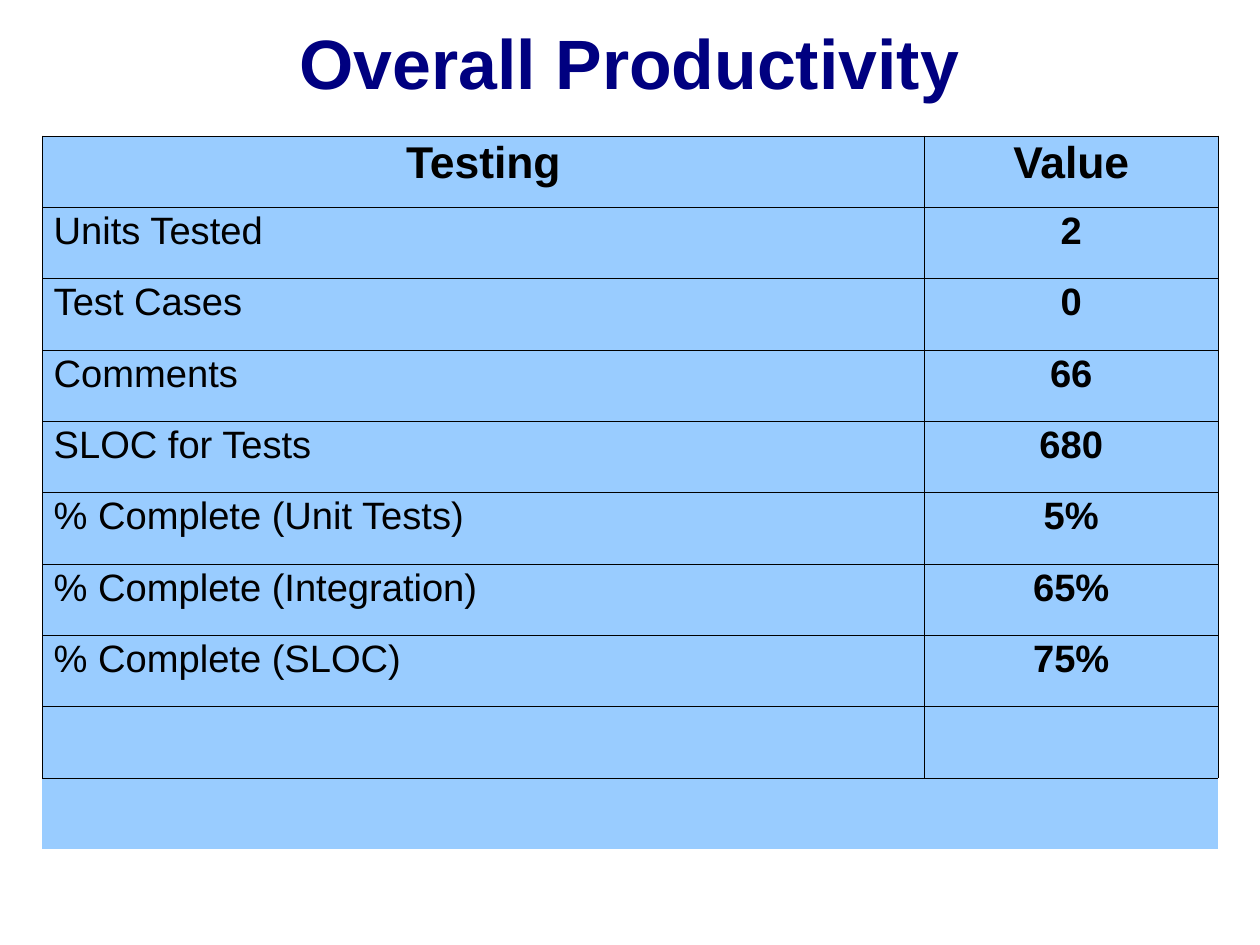
import pptx
import pptx.util
import pptx.dml.color
import pptx.enum.text
import pptx.oxml
import pptx.oxml.ns
from pptx.util import Cm, Pt

TITLE = "Overall Productivity"
ROWS = [
    ("Testing", "Value"),
    ("Units Tested", "2"),
    ("Test Cases", "0"),
    ("Comments", "66"),
    ("SLOC for Tests", "680"),
    ("% Complete (Unit Tests)", "5%"),
    ("% Complete (Integration)", "65%"),
    ("% Complete (SLOC)", "75%"),
    ("", ""),
    ("", ""),
]
WIDTHS = (Cm(19.6), Cm(6.53))
HEIGHT = Cm(15.85)
INNER, OUTER = Pt(0.17), Pt(0.23)

NAVY = pptx.dml.color.RGBColor(0x00, 0x00, 0x80)
BLACK = pptx.dml.color.RGBColor(0x00, 0x00, 0x00)
SKY = pptx.dml.color.RGBColor(0x99, 0xCC, 0xFF)

ALIGN = pptx.enum.text.PP_ALIGN
ANCHOR = pptx.enum.text.MSO_ANCHOR


def style(para, size, color, bold, align):
    para.alignment = align
    font = para.font
    for run in para.runs:
        font = run.font
    font.name, font.size, font.bold = "Arial", Pt(size), bold
    font.color.rgb = color


def rule(cell, edges):
    """Draw the cell's borders; a width of None hides that edge."""
    props = cell._tc.get_or_add_tcPr()
    names = pptx.oxml.ns.nsdecls("a")
    for spot, (side, width) in enumerate(edges.items()):
        if width is None:
            xml = f'<a:ln{side} {names} w="0"><a:noFill/></a:ln{side}>'
        else:
            xml = (f'<a:ln{side} {names} w="{width}"><a:solidFill>'
                   f'<a:srgbClr val="{BLACK}"/></a:solidFill></a:ln{side}>')
        props.insert(spot, pptx.oxml.parse_xml(xml))


def add_title(slide):
    box = slide.shapes.add_textbox(Cm(2.1), Cm(0.2), Cm(23.8), Cm(2.34))
    frame = box.text_frame
    frame.word_wrap = True
    frame.vertical_anchor = ANCHOR.MIDDLE
    frame.text = TITLE
    style(frame.paragraphs[0], 44, NAVY, True, ALIGN.CENTER)


def add_grid(slide):
    count = len(ROWS)
    frame = slide.shapes.add_table(
        count, 2, Cm(0.94), Cm(3.02), sum(WIDTHS), HEIGHT)
    table = frame.table
    table.horz_banding = False
    for col, width in zip(table.columns, WIDTHS):
        col.width = width
    for r, texts in enumerate(ROWS):
        table.rows[r].height = HEIGHT // count
        head, last = r == 0, r == count - 1
        for c, text in enumerate(texts):
            cell = table.cell(r, c)
            cell.fill.solid()
            cell.fill.fore_color.rgb = SKY
            cell.text_frame.text = text
            para = cell.text_frame.paragraphs[0]
            para.line_spacing = 0.93
            if head or c == 0:
                para.space_before = Pt(7)
            centred = head or c == 1
            style(para, 28 if head else 24, BLACK, centred,
                  ALIGN.CENTER if centred else ALIGN.LEFT)
            rule(cell, {
                "L": None if last else INNER if c else OUTER,
                "R": None if last else OUTER if c else INNER,
                "T": OUTER if head or last else INNER,
                "B": None if last else OUTER if r == count - 2 else INNER,
            })


def main():
    deck = pptx.Presentation()
    deck.slide_width, deck.slide_height = Cm(28), Cm(21)
    slide = deck.slides.add_slide(deck.slide_layouts[6])
    add_title(slide)
    add_grid(slide)
    deck.save("out.pptx")


if __name__ == "__main__":
    main()
